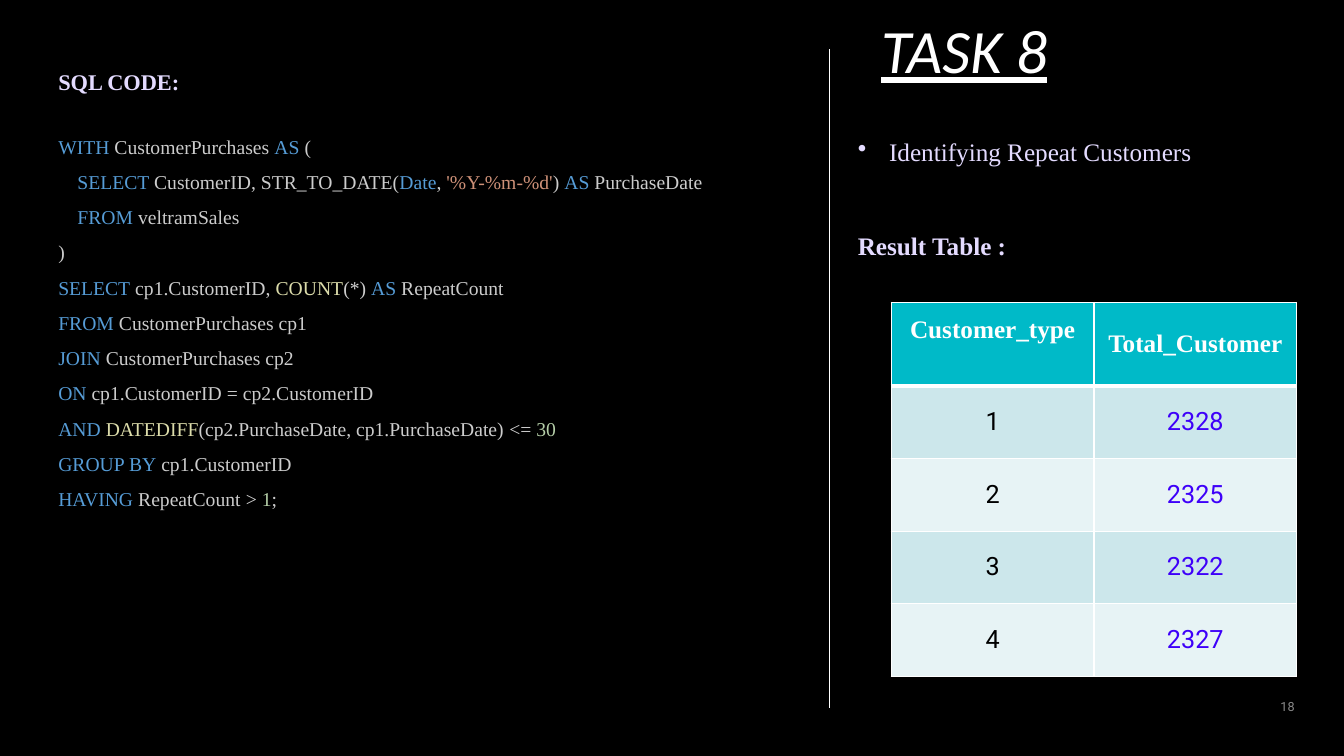
"""Build the slide on repeat customers: SQL code, heading and result table."""
from dataclasses import dataclass
from typing import NamedTuple

import pptx
import pptx.dml.color
import pptx.enum.shapes
import pptx.enum.text
import pptx.oxml
import pptx.oxml.ns
import pptx.util
from lxml import etree

PX = 9144
SERIF, SANS = "Times New Roman", "Roboto"
WHITE, LAVENDER, GREY = "FFFFFF", "E4DBFF", "8C8C8C"
KEYWORD, PLAIN, FUNCTION = "569CD6", "CCCCCC", "DCDCAA"
OPERATOR, NUMBER, STRING = "D4D4D4", "B5CEA8", "CE9178"
HEADER_FILL, BAND_FILLS, TOTAL_COLOR = "00BAC8", ("CCE7EB", "E7F3F5"), "3E00F9"
CENTER, RIGHT = pptx.enum.text.PP_ALIGN.CENTER, pptx.enum.text.PP_ALIGN.RIGHT
MIDDLE = pptx.enum.text.MSO_ANCHOR.MIDDLE


class Box(NamedTuple):
    """Left, top, width and height in px."""
    x: int
    y: int
    w: int
    h: int


class Token(NamedTuple):
    """A piece of code and its colour."""
    color: str
    text: str


@dataclass(frozen=True)
class CodeLine:
    """One line of code, indented by a number of px."""
    tokens: list[Token]
    indent: int = 0


def code(*pairs: tuple[str, str], indent: int = 0) -> CodeLine:
    """Make a code line from pairs of colour and text."""
    return CodeLine([Token(*pair) for pair in pairs], indent)


CODE = [
    code((KEYWORD, "WITH "), (PLAIN, "CustomerPurchases "), (KEYWORD, "AS"), (PLAIN, " (")),
    code((KEYWORD, "SELECT "), (PLAIN, "CustomerID, STR_TO_DATE("), (KEYWORD, "Date"),
         (PLAIN, ", "), (STRING, "'%Y-%m-%d'"), (PLAIN, ") "), (KEYWORD, "AS "),
         (PLAIN, "PurchaseDate"), indent=19),
    code((KEYWORD, "FROM "), (PLAIN, "veltramSales"), indent=19),
    code((PLAIN, ")")),
    code((KEYWORD, "SELECT"), (PLAIN, " cp1.CustomerID, "), (FUNCTION, "COUNT"), (PLAIN, "("),
         (OPERATOR, "*"), (PLAIN, ") "), (KEYWORD, "AS "), (PLAIN, "RepeatCount")),
    code((KEYWORD, "FROM "), (PLAIN, "CustomerPurchases cp1")),
    code((KEYWORD, "JOIN "), (PLAIN, "CustomerPurchases cp2")),
    code((KEYWORD, "ON"), (PLAIN, " cp1.CustomerID "), (OPERATOR, "="),
         (PLAIN, " cp2.CustomerID")),
    code((KEYWORD, "AND "), (FUNCTION, "DATEDIFF"),
         (PLAIN, "(cp2.PurchaseDate, cp1.PurchaseDate) "), (OPERATOR, "<= "), (NUMBER, "30")),
    code((KEYWORD, "GROUP BY"), (PLAIN, " cp1.CustomerID")),
    code((KEYWORD, "HAVING "), (PLAIN, "RepeatCount "), (OPERATOR, "> "), (NUMBER, "1"),
         (PLAIN, ";")),
]
HEADERS = ("Customer_type", "Total_Customer")
RESULTS = [("1", "2328"), ("2", "2325"), ("3", "2322"), ("4", "2327")]


def px(n: int) -> int:
    """Turn px into EMU."""
    return n * PX


def rgb(color: str) -> pptx.dml.color.RGBColor:
    """Turn a hex string into a colour."""
    return pptx.dml.color.RGBColor.from_string(color)


def add_text(p, text: str, *, size: int, color: str, font: str = SERIF,
             bold: bool = False, italic: bool = False, underline: bool = False) -> None:
    """Add a formatted run to a paragraph."""
    r = p.add_run()
    r.text = text
    f = r.font
    f.size, f.name, f.color.rgb = pptx.util.Pt(size), font, rgb(color)
    f.bold, f.italic, f.underline = bold, italic, underline


def add_box(s, box: Box, *, inset: bool = True):
    """Add a wrapping text box and return its text frame."""
    tf = s.shapes.add_textbox(*map(px, box)).text_frame
    tf.word_wrap = True
    if not inset:
        tf.margin_left = tf.margin_top = tf.margin_right = tf.margin_bottom = 0
    return tf


def set_indent(p, left: int, first: int = 0) -> None:
    """Set the left margin and first-line indent of a paragraph."""
    pPr = p._p.get_or_add_pPr()
    pPr.set("marL", str(px(left)))
    pPr.set("indent", str(px(first)))


def add_divider(s, x: int, top: int, bottom: int) -> None:
    """Draw the vertical divider."""
    line = s.shapes.add_connector(pptx.enum.shapes.MSO_CONNECTOR.STRAIGHT,
                                  px(x), px(top), px(x), px(bottom))
    line.line.color.rgb = rgb(WHITE)
    line.line.width = pptx.util.Pt(0.75)
    etree.SubElement(line._element.spPr, pptx.oxml.ns.qn("a:effectLst"))


def add_code(s, box: Box) -> None:
    """Write the code heading and its coloured lines."""
    tf = add_box(s, box)
    p = tf.paragraphs[0]
    p.line_spacing = 1.5
    add_text(p, "SQL CODE:", size=16, color=LAVENDER, bold=True)
    for i, line in enumerate(CODE):
        p = tf.add_paragraph()
        p.line_spacing = 1.5
        if i == 0:
            p.space_before = pptx.util.Pt(20)
        set_indent(p, line.indent)
        for token in line.tokens:
            add_text(p, token.text, size=14, color=token.color)


def set_borders(cell, **widths: int) -> None:
    """Give a cell white borders, with widths in points keyed by side."""
    tcPr = cell._tc.get_or_add_tcPr()
    for i, side in enumerate("LRTB"):
        width = pptx.util.Pt(widths.get(side, 1))
        tcPr.insert(i, pptx.oxml.parse_xml(
            f'<a:ln{side} {pptx.oxml.ns.nsdecls("a")} w="{width}"><a:solidFill>'
            f'<a:srgbClr val="{WHITE}"/></a:solidFill></a:ln{side}>'))


def add_results(s, box: Box, header_height: int) -> None:
    """Draw the result table."""
    rows = [HEADERS, *RESULTS]
    table = s.shapes.add_table(len(rows), len(HEADERS), *map(px, box)).table
    table.first_row = table.horz_banding = False
    for column in table.columns:
        column.width = px(box.w // len(HEADERS))
    for i, values in enumerate(rows):
        header = i == 0
        height = header_height if header else (box.h - header_height) // len(RESULTS)
        table.rows[i].height = px(height)
        for j, value in enumerate(values):
            cell = table.cell(i, j)
            cell.vertical_anchor = MIDDLE
            cell.fill.solid()
            cell.fill.fore_color.rgb = rgb(HEADER_FILL if header else BAND_FILLS[(i - 1) % 2])
            set_borders(cell, B=3 if header else 1, T=3 if i == 1 else 1)
            p = cell.text_frame.paragraphs[0]
            p.alignment = CENTER
            color = WHITE if header else ("000000", TOTAL_COLOR)[j]
            add_text(p, value, size=18, color=color, font=SERIF if header else SANS, bold=header)
    table.cell(0, 0).margin_bottom = px(33)


def main() -> None:
    """Build and save the slide."""
    prs = pptx.Presentation()
    prs.slide_width, prs.slide_height = px(1333), px(750)
    s = prs.slides.add_slide(prs.slide_layouts[6])
    s.background.fill.solid()
    s.background.fill.fore_color.rgb = rgb("000000")

    add_divider(s, 823, 49, 702)
    tf = add_box(s, Box(1229, 673, 55, 55), inset=False)
    tf.vertical_anchor = MIDDLE
    p = tf.paragraphs[0]
    p.alignment = RIGHT
    add_text(p, "18", size=9, color=GREY, font=SANS)

    add_code(s, Box(48, 49, 660, 491))

    p = add_box(s, Box(874, 12, 267, 75), inset=False).paragraphs[0]
    p.space_before = pptx.util.Pt(10)
    add_text(p, "TASK 8", size=44, color=WHITE, font="Calibri", italic=True, underline=True)

    p = add_box(s, Box(841, 130, 465, 40)).paragraphs[0]
    set_indent(p, 31, -31)
    etree.SubElement(p._p.get_or_add_pPr(), pptx.oxml.ns.qn("a:buChar")).set("char", "•")
    add_text(p, "Identifying Repeat Customers", size=18, color=LAVENDER)

    p = add_box(s, Box(841, 224, 193, 40)).paragraphs[0]
    add_text(p, "Result Table :", size=18, color=LAVENDER, bold=True)

    add_results(s, Box(884, 300, 402, 371), header_height=83)
    prs.save("out.pptx")


if __name__ == "__main__":
    main()
